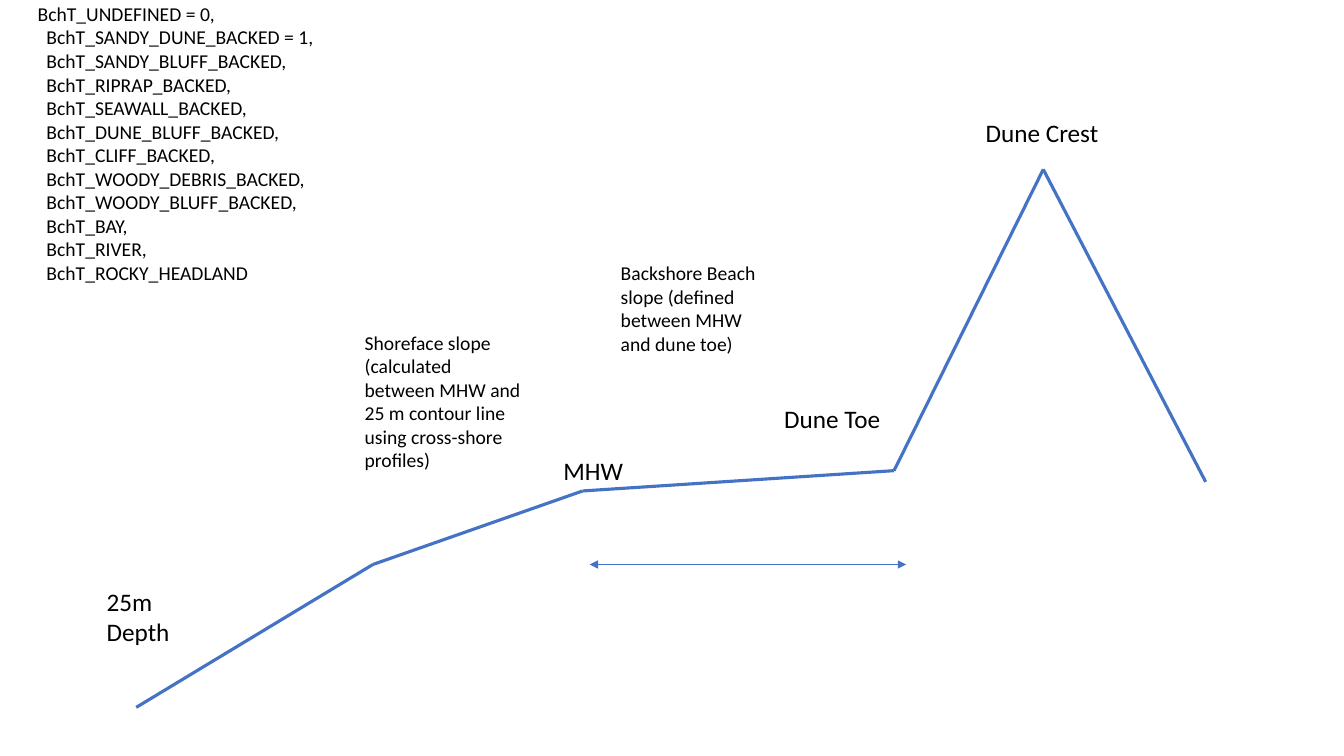
"""Build a beach profile slide with backing types, slopes and labels."""
from dataclasses import dataclass
from itertools import pairwise

from lxml import etree
from pptx import Presentation
from pptx.dml.color import RGBColor
from pptx.enum.shapes import MSO_CONNECTOR
from pptx.enum.text import MSO_AUTO_SIZE
from pptx.oxml.ns import qn
from pptx.util import Pt

STRAIGHT = MSO_CONNECTOR.STRAIGHT
GROW = MSO_AUTO_SIZE.SHAPE_TO_FIT_TEXT


@dataclass(frozen=True)
class Theme:
    font: str = "Calibri"
    text: RGBColor = RGBColor(0, 0, 0)
    line: RGBColor = RGBColor(0x44, 0x72, 0xC4)
    label_size: float = 18
    note_size: float = 14
    profile_width: float = 2.25
    arrow_width: float = 0.5


theme = Theme()


def add_line(s, start, end, width):
    sp = s.shapes.add_connector(STRAIGHT, *map(Pt, start + end))
    sp.line.color.rgb = theme.line
    sp.line.width = Pt(width)
    etree.SubElement(sp._element.spPr, qn("a:effectLst"))
    return sp


def add_text(s, box, lines, size):
    sp = s.shapes.add_textbox(*map(Pt, box))
    tf = sp.text_frame
    tf.word_wrap = True
    tf.auto_size = GROW
    for i, line in enumerate(lines):
        p = tf.add_paragraph() if i else tf.paragraphs[0]
        r = p.add_run()
        r.text = line
        r.font.name = theme.font
        r.font.size = Pt(size)
        r.font.color.rgb = theme.text


prs = Presentation()
prs.slide_width, prs.slide_height = Pt(960), Pt(540)
s = prs.slides.add_slide(prs.slide_layouts[6])

profile = [
    (97.3, 505.3),
    (266.4, 403.2),
    (416.2, 350.7),
    (638.6, 336.2),
    (745.2, 121),
    (861.2, 344.2),
]
for start, end in pairwise(profile):
    add_line(s, start, end, theme.profile_width)

backshore = add_line(s, (647.3, 403.2), (421.2, 403.2), theme.arrow_width)
ln = backshore.line._get_or_add_ln()
for end in ("a:headEnd", "a:tailEnd"):
    etree.SubElement(ln, qn(end), type="triangle")

beach_types = [
    " BchT_UNDEFINED = 0,",
    "   BchT_SANDY_DUNE_BACKED = 1,",
    "   BchT_SANDY_BLUFF_BACKED,",
    "   BchT_RIPRAP_BACKED,",
    "   BchT_SEAWALL_BACKED,",
    "   BchT_DUNE_BLUFF_BACKED,",
    "   BchT_CLIFF_BACKED,",
    "   BchT_WOODY_DEBRIS_BACKED,",
    "   BchT_WOODY_BLUFF_BACKED,",
    "   BchT_BAY,",
    "   BchT_RIVER,",
    "   BchT_ROCKY_HEADLAND",
]
add_text(s, (16.6, -2.2, 227.5, 211), beach_types, theme.note_size)

notes = [
    ((253.4, 232.6, 128.2, 111.6),
     "Shoreface slope (calculated between MHW and 25 m contour line using cross-shore profiles)"),
    ((436.3, 182.9, 116.6, 74.9),
     "Backshore Beach slope (defined between MHW and dune toe)"),
]
for box, note in notes:
    add_text(s, box, [note], theme.note_size)

labels = [
    ((697, 80.6, 106.6, 29), "Dune Crest"),
    ((553, 284.4, 87.8, 29), "Dune Toe"),
    ((395.3, 321.8, 87.8, 29), "MHW"),
    ((69.1, 415.4, 87.8, 51), "25m Depth"),
]
for box, label in labels:
    add_text(s, box, [label], theme.label_size)

prs.save("out.pptx")
